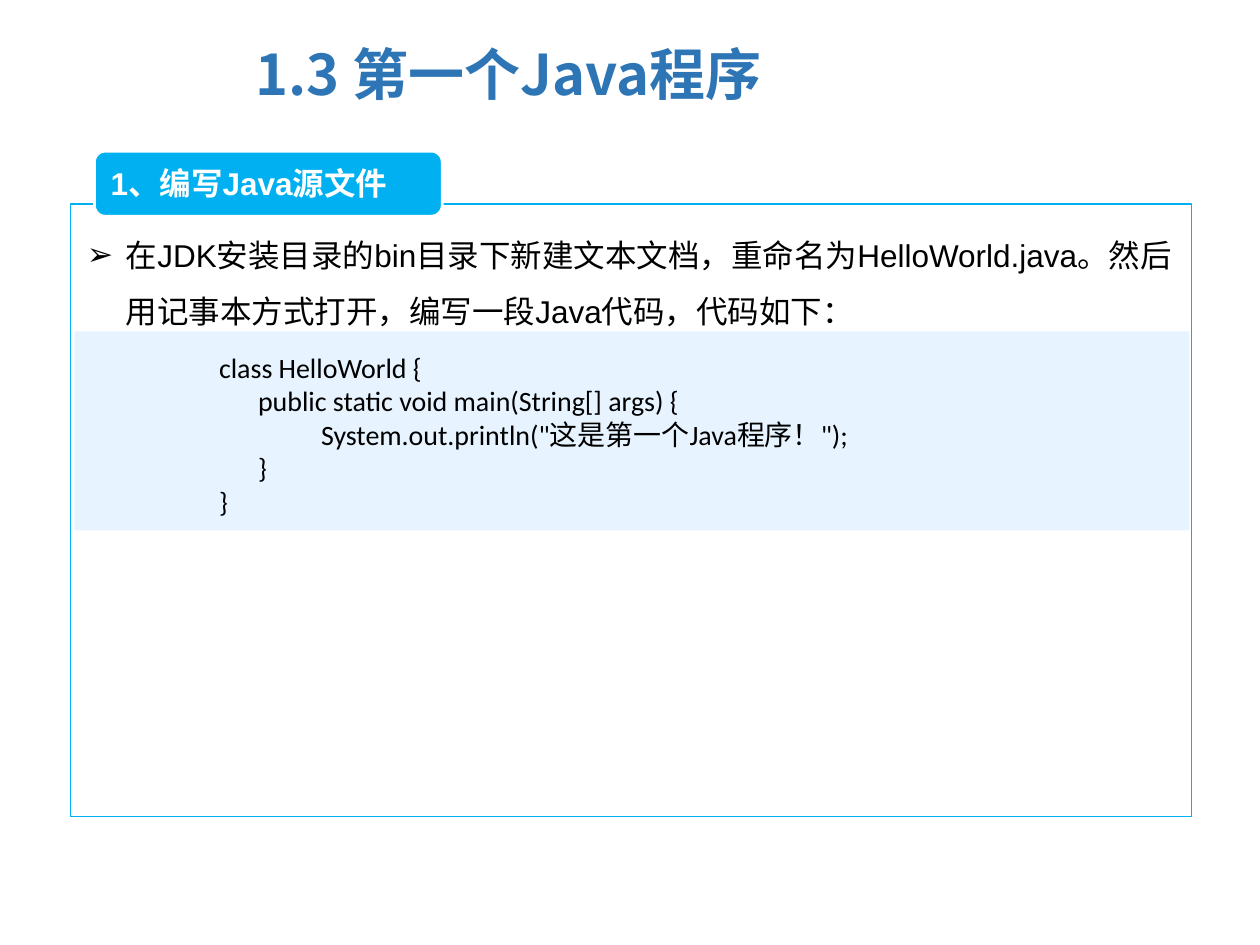
from lxml.etree import SubElement as Sub
from pptx import Presentation
from pptx.dml.color import RGBColor as RGB
from pptx.enum.shapes import MSO_SHAPE as Kind
from pptx.enum.text import MSO_ANCHOR as Anchor
from pptx.oxml.ns import qn
from pptx.util import Inches, Pt

CJK = "Noto Sans CJK SC"
CODE = """class HelloWorld {
\tpublic static void main(String[] args) {
\t\tSystem.out.println("这是第一个Java程序！");
\t}
}"""

deck = Presentation()
deck.slide_width, deck.slide_height = Inches(10), Inches(7.5)
slide = deck.slides.add_slide(deck.slide_layouts[6])
shapes = slide.shapes


def share(x, y, w, h):
    """Turn percentages of the slide's width and height into lengths."""
    wide, high = deck.slide_width / 100, deck.slide_height / 100
    return int(x * wide), int(y * high), int(w * wide), int(h * high)


def write(area, text, size, font, color, bold=False, hang=0):
    """Add a text box; hang is the left margin, in inches, of hanging lines."""
    frame = shapes.add_textbox(*share(*area)).text_frame
    frame.word_wrap = True
    frame.text = text
    for para in frame.paragraphs:
        if hang:
            props = para._p.get_or_add_pPr()
            props.set("marL", str(Inches(hang)))
            props.set("indent", str(-Inches(0.31)))
        for run in para.runs:
            run.font.size, run.font.bold = Pt(size), bold
            run.font.name = font
            run.font.color.rgb = RGB.from_string(color)
            Sub(run.font._element, qn("a:ea"), typeface=CJK)
    return frame


# Panel, heading tab and code band: area, preset, fill, line, line width
panels = [
    ((5.6, 21.6, 89, 64.8), Kind.RECTANGLE, "FFFFFF", "00B0F0", 0.75),
    ((7.5, 16, 27.6, 6.87), Kind.ROUNDED_RECTANGLE, "00B0F0", "FFFFFF", 1.5),
    ((5.9, 35.07, 88.5, 21.07), Kind.RECTANGLE, "E7F4FF", None, 0),
]
for area, kind, fill, line, width in panels:
    panel = shapes.add_shape(kind, *share(*area))
    panel.shadow.inherit = False
    panel.fill.solid()
    panel.fill.fore_color.rgb = RGB.from_string(fill)
    if line:
        panel.line.color.rgb = RGB.from_string(line)
        panel.line.width = Pt(width)
    else:
        panel.line.fill.background()

title = write((19.3, 2.13, 46.6, 11.2), "1.3 第一个Java程序", 32, CJK, "2E75B6", bold=True)
title.vertical_anchor = Anchor.MIDDLE

write((7.8, 16.67, 27, 5.33), "1、编写Java源文件", 18, "Arial", "FFFFFF", bold=True)

intro = write(
    (5.9, 22.27, 88.5, 13.33),
    "在JDK安装目录的bin目录下新建文本文档，重命名为HelloWorld.java。"
    "然后用记事本方式打开，编写一段Java代码，代码如下：",
    18, "Arial", "000000", hang=0.31,
).paragraphs[0]
intro.line_spacing = 1.5
props = intro._p.get_or_add_pPr()
Sub(props, qn("a:buFont"), typeface="Arial")
Sub(props, qn("a:buChar"), char="➢")

code = write((11.4, 36.4, 71.4, 19.2), CODE, 16, "Calibri", "000000", hang=0.81)
for para in code.paragraphs:
    tabs = Sub(para._p.get_or_add_pPr(), qn("a:tabLst"))
    Sub(tabs, qn("a:tab"), pos=str(Inches(1.5)), algn="l")

deck.save("out.pptx")
